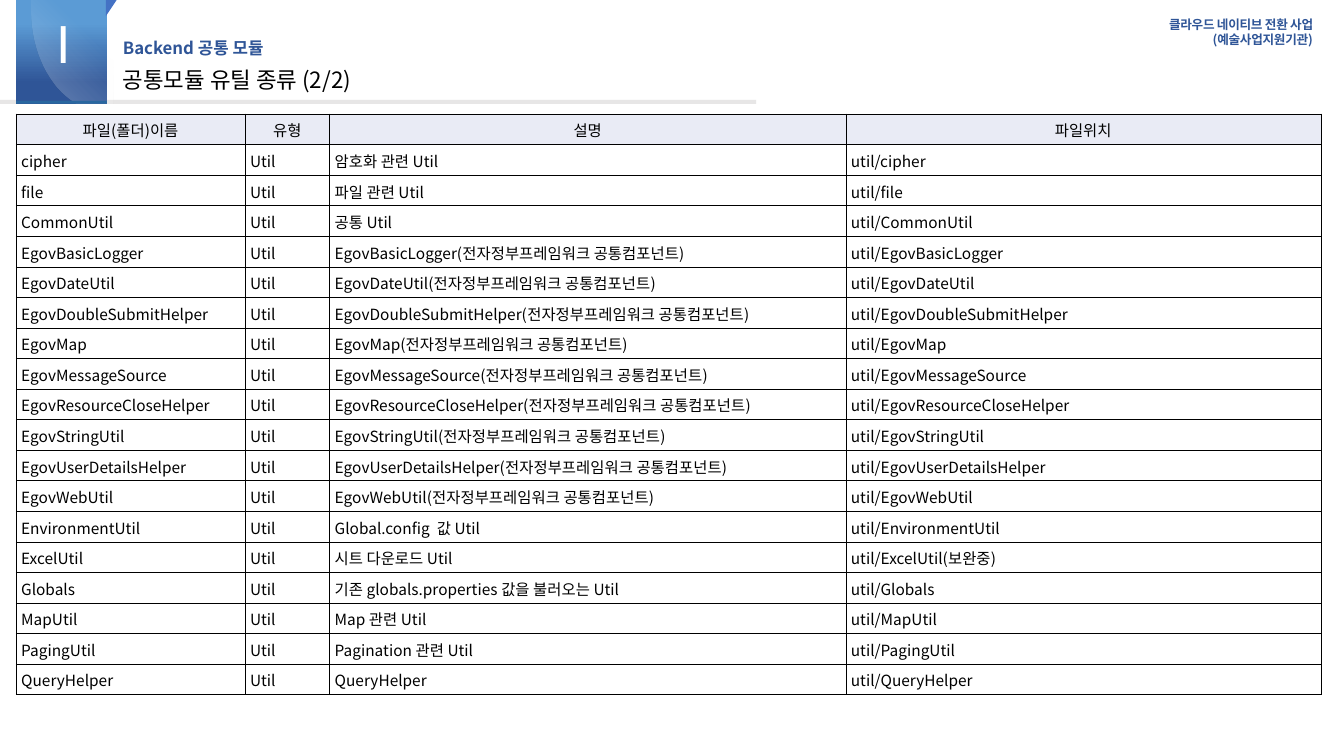
from lxml import etree
from pptx import Presentation
from pptx.dml.color import RGBColor
from pptx.enum.shapes import MSO_SHAPE
from pptx.enum.text import MSO_ANCHOR, PP_ALIGN
from pptx.oxml.ns import qn
from pptx.util import Inches, Pt

RECTANGLE, RIGHT_TRIANGLE = MSO_SHAPE.RECTANGLE, MSO_SHAPE.RIGHT_TRIANGLE
TOP, MIDDLE = MSO_ANCHOR.TOP, MSO_ANCHOR.MIDDLE
LEFT, CENTER, RIGHT = PP_ALIGN.LEFT, PP_ALIGN.CENTER, PP_ALIGN.RIGHT

BLACK = RGBColor(0x00, 0x00, 0x00)
WHITE = RGBColor(0xFF, 0xFF, 0xFF)
RULE_GRAY = RGBColor(0xE7, 0xE6, 0xE6)
LIGHT_BLUE = RGBColor(0x5B, 0x9B, 0xD5)
NAVY = RGBColor(0x2F, 0x55, 0x97)
FOLD_BLUE = RGBColor(0x44, 0x72, 0xC4)
EDGE_BLUE = RGBColor(0x29, 0x67, 0x9F)
HEADER_FILL = RGBColor(0xE9, 0xEB, 0xF5)

FONT = "Noto Sans CJK KR"
SLIDE_W, SLIDE_H = 13.33, 7.5
MARGIN = 0.16
BADGE_W = 0.9
TITLE_X = 1.12
TABLE_TOP, TABLE_H = 1.13, 5.76
COLUMN_WIDTHS = (2.27, 0.84, 5.12, 4.71)
CELL_INSET = Inches(0.05)

HEADINGS = ("파일(폴더)이름", "유형", "설명", "파일위치")
EGOV_NOTE = "(전자정부프레임워크 공통컴포넌트)"
EGOV_CLASSES = (
    "EgovBasicLogger", "EgovDateUtil", "EgovDoubleSubmitHelper", "EgovMap",
    "EgovMessageSource", "EgovResourceCloseHelper", "EgovStringUtil",
    "EgovUserDetailsHelper", "EgovWebUtil",
)
MODULES = (
    ("cipher", "암호화 관련 Util"),
    ("file", "파일 관련 Util"),
    ("CommonUtil", "공통 Util"),
    *((name, name + EGOV_NOTE) for name in EGOV_CLASSES),
    ("EnvironmentUtil", "Global.config  값 Util"),
    ("ExcelUtil", "시트 다운로드 Util"),
    ("Globals", "기존 globals.properties 값을 불러오는 Util"),
    ("MapUtil", "Map 관련 Util"),
    ("PagingUtil", "Pagination 관련 Util"),
    ("QueryHelper", "QueryHelper"),
)
LOCATION_NOTES = {"ExcelUtil": "(보완중)"}


def format_text(frame, size, color, align=LEFT, bold=False, line_spacing=None, tracking=None):
    for paragraph in frame.paragraphs:
        paragraph.alignment = align
        paragraph.line_spacing = line_spacing
        for run in paragraph.runs:
            font = run.font
            font.size, font.bold, font.name = Pt(size), bold, FONT
            font.color.rgb = color
            properties = run._r.get_or_add_rPr()
            etree.SubElement(properties, qn("a:ea"), typeface=FONT)
            if tracking is not None:
                properties.set("spc", str(round(tracking * 100)))


def add_label(slide, text, box, size, color, anchor=TOP, wrap=True, inset=None, **style):
    frame = slide.shapes.add_textbox(*map(Inches, box)).text_frame
    frame.text = text
    frame.word_wrap = wrap
    frame.vertical_anchor = anchor
    if inset is not None:
        frame.margin_left = frame.margin_right = Inches(inset)
        frame.margin_top = frame.margin_bottom = Inches(inset)
    format_text(frame, size, color, **style)


def make_plain(shape):
    """Remove the default shadow and outline."""
    shape.shadow.inherit = False
    shape.line.fill.background()


def add_block(slide, kind, box, color):
    block = slide.shapes.add_shape(kind, *map(Inches, box))
    make_plain(block)
    block.fill.solid()
    block.fill.fore_color.rgb = color
    return block


def fill_gradient(shape, stops, angle):
    """Fill with two (position, colour, opacity) stops; angle is counter-clockwise."""
    shape.fill.gradient()
    shape.fill.gradient_angle = angle
    for stop, (position, color, opacity) in zip(shape.fill.gradient_stops, stops):
        stop.position = position
        stop.color.rgb = color
        if opacity < 1:
            rgb = stop._gs.find(qn("a:srgbClr"))
            etree.SubElement(rgb, qn("a:alpha"), val=str(round(opacity * 100000)))


def curve_points(start, control_1, control_2, end, steps=16):
    """Points along a cubic Bezier curve, without its start."""
    points = []
    for step in range(1, steps + 1):
        t = step / steps
        weights = ((1 - t) ** 3, 3 * t * (1 - t) ** 2, 3 * t * t * (1 - t), t ** 3)
        corners = zip(start, control_1, control_2, end)
        points.append(tuple(sum(w * v for w, v in zip(weights, axis))
                            for axis in zip(start, control_1, control_2, end)))
    return points


def add_badge(slide):
    badge = add_block(slide, RECTANGLE, (MARGIN, -0.02, BADGE_W, 1.05), NAVY)
    fill_gradient(badge, ((0.24, LIGHT_BLUE, 1), (0.8, NAVY, 1)), 270)
    fold = add_block(slide, RIGHT_TRIANGLE, (1.02, 0.01, 0.18, 0.12), FOLD_BLUE)
    fold.rotation = 90

    arc_start = (0.74, 1.02)
    outline = [(1.23, -0.02), (1.12, 0.2), (1.12, 1.03), (0.75, 1.03), arc_start]
    outline += curve_points(arc_start, (0.49, 0.87), (0.31, 0.52), (0.31, 0.11))
    outline += [(0.31, 0), (0.32, -0.02)]
    builder = slide.shapes.build_freeform(Inches(1.11), Inches(-0.02))
    builder.add_line_segments([(Inches(x), Inches(y)) for x, y in outline], close=True)
    gloss = builder.convert_to_shape()
    make_plain(gloss)
    fill_gradient(gloss, ((0, WHITE, 0.28), (0.63, WHITE, 0)), 45)

    add_block(slide, RECTANGLE, (MARGIN, 1, BADGE_W, 0.03), EDGE_BLUE)
    add_label(slide, "Ⅰ", (0.38, 0.2, 0.45, 0.55), 36, WHITE, wrap=False, inset=0,
              align=CENTER, line_spacing=0.9)


def add_cell_borders(cell):
    properties = cell._tc.get_or_add_tcPr()
    for index, side in enumerate(("lnL", "lnR", "lnT", "lnB")):
        border = etree.Element(qn(f"a:{side}"), w=str(Pt(0.25)))
        fill = etree.SubElement(border, qn("a:solidFill"))
        etree.SubElement(fill, qn("a:srgbClr"), val=str(BLACK))
        properties.insert(index, border)


def add_module_table(slide):
    rows = [HEADINGS]
    for name, description in MODULES:
        rows.append((name, "Util", description, f"util/{name}{LOCATION_NOTES.get(name, '')}"))
    table = slide.shapes.add_table(
        len(rows), len(HEADINGS), Inches(MARGIN), Inches(TABLE_TOP),
        Inches(sum(COLUMN_WIDTHS)), Inches(TABLE_H)).table
    for column, width in zip(table.columns, COLUMN_WIDTHS):
        column.width = Inches(width)
    for row_index, texts in enumerate(rows):
        is_header = row_index == 0
        table.rows[row_index].height = Inches(TABLE_H / len(rows))
        for cell, text in zip(table.rows[row_index].cells, texts):
            cell.text = text
            cell.vertical_anchor = MIDDLE
            cell.margin_left = cell.margin_right = CELL_INSET
            cell.margin_top = cell.margin_bottom = CELL_INSET
            cell.fill.solid()
            cell.fill.fore_color.rgb = HEADER_FILL if is_header else WHITE
            add_cell_borders(cell)
            format_text(cell.text_frame, 11, BLACK, CENTER if is_header else LEFT)


def main():
    presentation = Presentation()
    presentation.slide_width = Inches(SLIDE_W)
    presentation.slide_height = Inches(SLIDE_H)
    slide = presentation.slides.add_slide(presentation.slide_layouts[6])

    add_block(slide, RECTANGLE, (0, 0.99, 7.5, 0.04), RULE_GRAY)
    add_badge(slide)
    add_label(slide, "클라우드 네이티브 전환 사업\v(예술사업지원기관)", (10.56, 0.12, 2.56, 0.25),
              9, NAVY, align=RIGHT, bold=True, tracking=-0.2)
    add_module_table(slide)
    add_label(slide, "공통모듈 유틸 종류 (2/2)", (TITLE_X, 0.61, 5.91, 0.39), 16, BLACK,
              anchor=MIDDLE, line_spacing=0.9)
    add_label(slide, "Backend 공통 모듈", (TITLE_X, 0.39, 5.55, 0.2), 12, NAVY,
              anchor=MIDDLE, bold=True, line_spacing=0.9)
    presentation.save("out.pptx")


if __name__ == "__main__":
    main()
